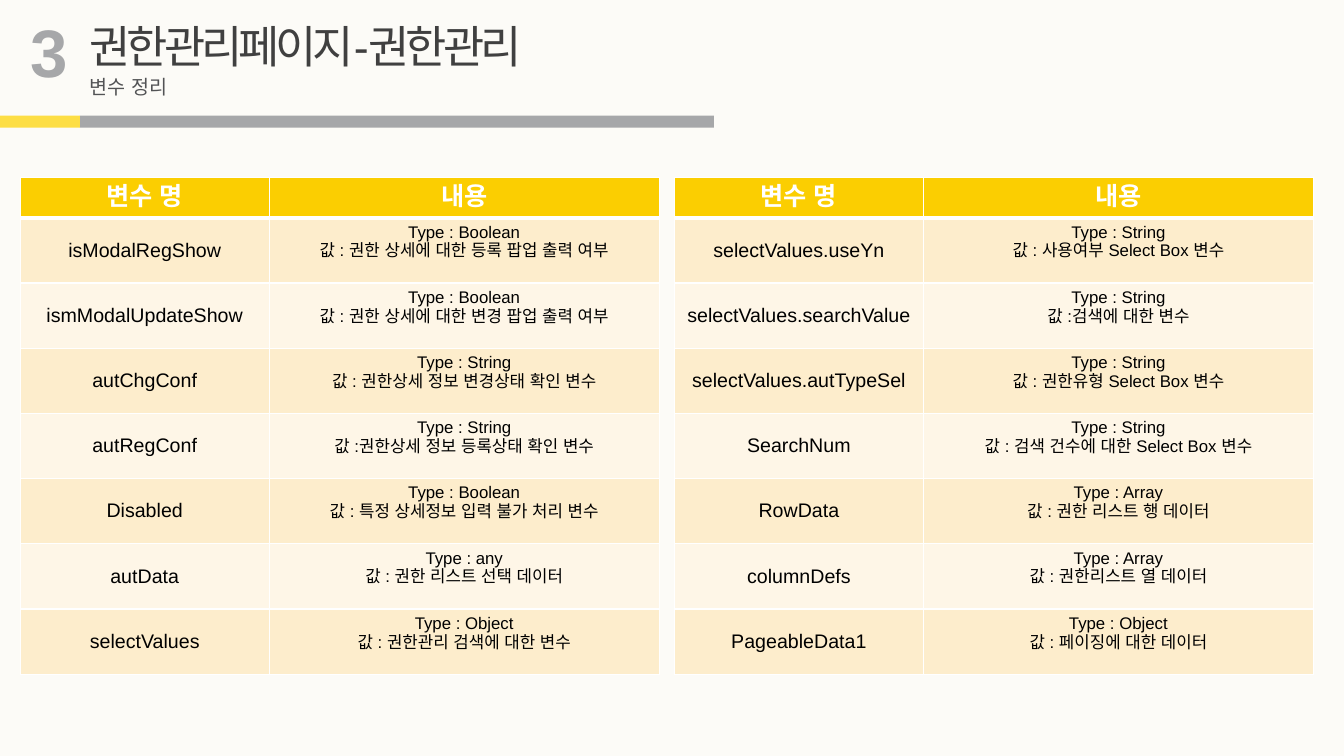
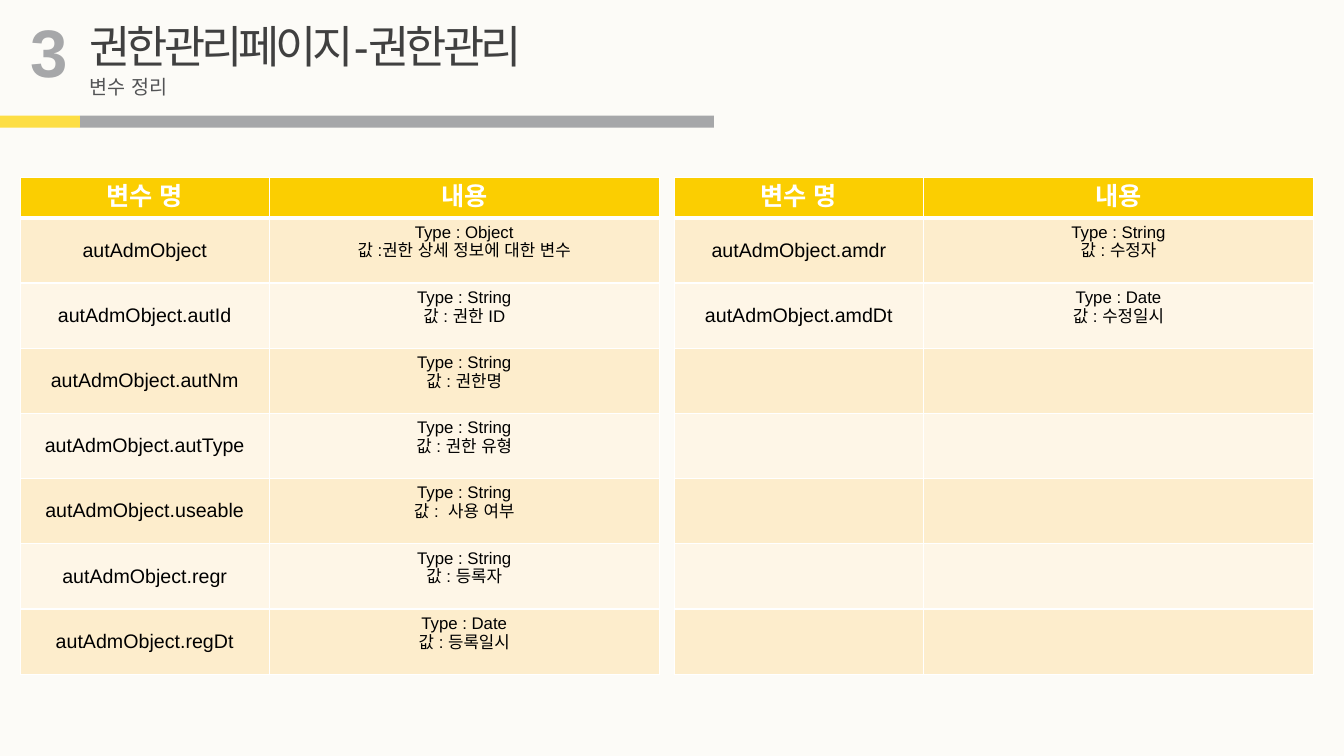
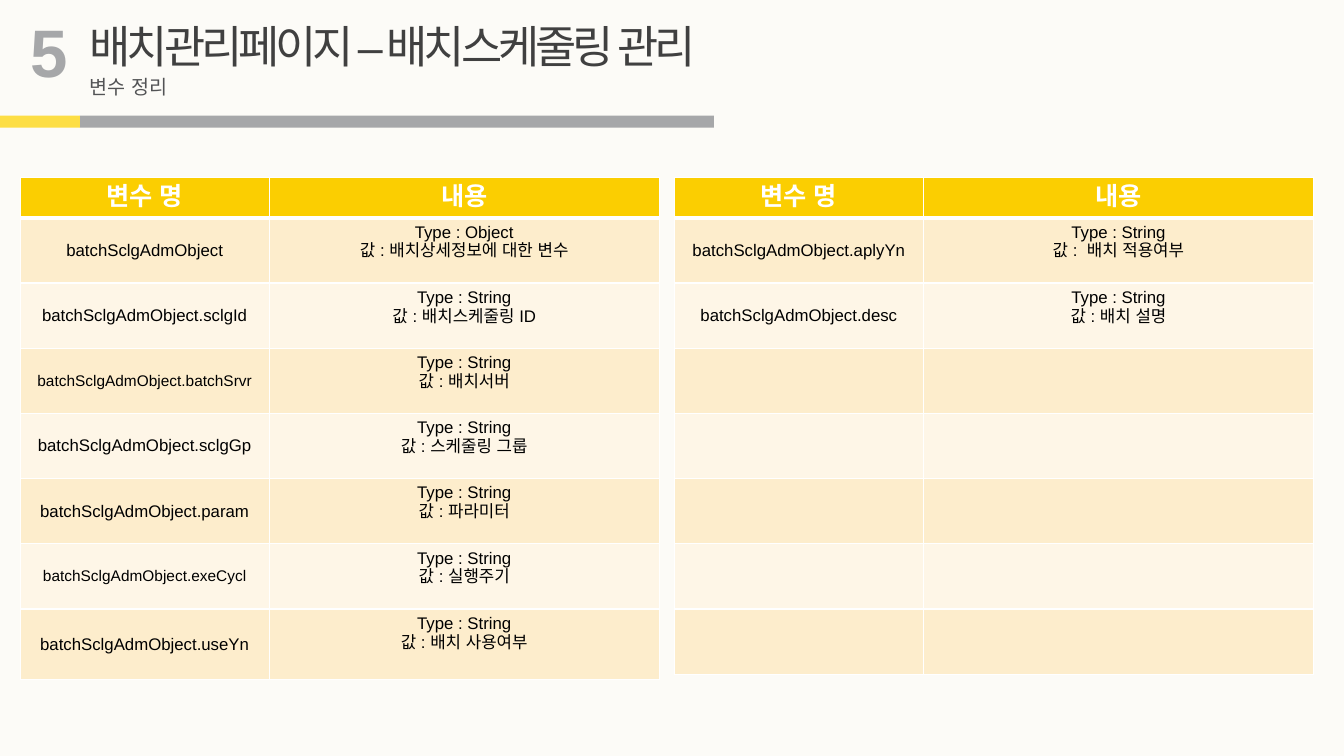
import pptx
import pptx.dml.color
import pptx.enum.shapes
import pptx.enum.text
import pptx.oxml
import pptx.oxml.ns
import pptx.util
from dataclasses import dataclass

Pt = pptx.util.Pt
ALIGN = pptx.enum.text.PP_ALIGN
ANCHOR = pptx.enum.text.MSO_ANCHOR


@dataclass(frozen=True)
class TextStyle:
    size: float
    color: str
    bold: bool = False
    spacing: int = 0


@dataclass(frozen=True)
class Theme:
    font: str = "Arial"
    background: str = "FCFBF7"
    gray: str = "A6A7A9"
    yellow: str = "FDDE45"
    header_fill: str = "FBCE01"
    row_fills: tuple = ("FDEDCC", "FEF6E7")
    border: str = "FFFFFF"
    title: TextStyle = TextStyle(32, "404040", spacing=-300)
    number: TextStyle = TextStyle(48, "A6A7A9", bold=True)
    subtitle: TextStyle = TextStyle(14, "525355")
    header: TextStyle = TextStyle(18, "FFFFFF", bold=True)
    name: TextStyle = TextStyle(14, "000000")
    long_name: TextStyle = TextStyle(12, "000000")
    small_name: TextStyle = TextStyle(11, "000000")
    description: TextStyle = TextStyle(12, "000000")


THEME = Theme()

HEADERS = ("변수 명", "내용")
COLUMN_WIDTHS = (178, 278.5)
TABLE_LEFTS = (14.4, 481.7)
TABLE_TOP = 126.7
HEADER_HEIGHT = 28
ROW_HEIGHT = 46.6
BODY_ROWS = 7


@dataclass(frozen=True)
class Variable:
    name: str
    type_name: str
    value: str
    style: TextStyle = THEME.name


@dataclass(frozen=True)
class Page:
    number: str
    title: str
    title_width: float
    tables: tuple
    left_last_height: float = ROW_HEIGHT


def long_variable(name, type_name, value, style=THEME.long_name):
    return Variable(name, type_name, value, style)


PAGES = (
    Page("3", "권한관리페이지-권한관리", 347, (
        (
            Variable("isModalRegShow", "Boolean", "값 : 권한 상세에 대한 등록 팝업 출력 여부"),
            Variable("ismModalUpdateShow", "Boolean", "값 : 권한 상세에 대한 변경 팝업 출력 여부"),
            Variable("autChgConf", "String", "값 : 권한상세 정보 변경상태 확인 변수"),
            Variable("autRegConf", "String", "값 :권한상세 정보 등록상태 확인 변수"),
            Variable("Disabled", "Boolean", "값 : 특정 상세정보 입력 불가 처리 변수"),
            Variable("autData", "any", "값 : 권한 리스트 선택 데이터"),
            Variable("selectValues", "Object", "값 : 권한관리 검색에 대한 변수"),
        ),
        (
            Variable("selectValues.useYn", "String", "값 : 사용여부 Select Box 변수"),
            Variable("selectValues.searchValue", "String", "값 :검색에 대한 변수"),
            Variable("selectValues.autTypeSel", "String", "값 : 권한유형 Select Box 변수"),
            Variable("SearchNum", "String", "값 : 검색 건수에 대한 Select Box 변수"),
            Variable("RowData", "Array", "값 : 권한 리스트 행 데이터"),
            Variable("columnDefs", "Array", "값 : 권한리스트 열 데이터"),
            Variable("PageableData1", "Object", "값 : 페이징에 대한 데이터"),
        ),
    )),
    Page("3", "권한관리페이지-권한관리", 347, (
        (
            Variable("autAdmObject", "Object", "값 :권한 상세 정보에 대한 변수"),
            Variable("autAdmObject.autId", "String", "값 : 권한 ID"),
            Variable("autAdmObject.autNm", "String", "값 : 권한명"),
            Variable("autAdmObject.autType", "String", "값 : 권한 유형"),
            Variable("autAdmObject.useable", "String", "값 :  사용 여부"),
            Variable("autAdmObject.regr", "String", "값 : 등록자"),
            Variable("autAdmObject.regDt", "Date", "값 : 등록일시"),
        ),
        (
            Variable("autAdmObject.amdr", "String", "값 : 수정자"),
            Variable("autAdmObject.amdDt", "Date", "값 : 수정일시"),
        ),
    )),
    Page("5", "배치관리페이지 – 배치스케줄링 관리", 490, (
        (
            long_variable("batchSclgAdmObject", "Object", "값 : 배치상세정보에 대한 변수"),
            long_variable("batchSclgAdmObject.sclgId", "String", "값 : 배치스케줄링 ID"),
            long_variable("batchSclgAdmObject.batchSrvr", "String", "값 : 배치서버", THEME.small_name),
            long_variable("batchSclgAdmObject.sclgGp", "String", "값 : 스케줄링 그룹"),
            long_variable("batchSclgAdmObject.param", "String", "값 : 파라미터"),
            long_variable("batchSclgAdmObject.exeCycl", "String", "값 : 실행주기", THEME.small_name),
            long_variable("batchSclgAdmObject.useYn", "String", "값 : 배치 사용여부"),
        ),
        (
            long_variable("batchSclgAdmObject.aplyYn", "String", "값 :  배치 적용여부"),
            long_variable("batchSclgAdmObject.desc", "String", "값 : 배치 설명"),
        ),
    ), left_last_height=50.5),
)


def rgb(color):
    return pptx.dml.color.RGBColor.from_string(color)


def set_fill(target, color):
    target.fill.solid()
    target.fill.fore_color.rgb = rgb(color)


def write_text(text_frame, text, style, alignment=ALIGN.LEFT):
    text_frame.text = text
    for paragraph in text_frame.paragraphs:
        paragraph.alignment = alignment
        for run in paragraph.runs:
            run.font.size = Pt(style.size)
            run.font.bold = style.bold
            run.font.color.rgb = rgb(style.color)
            run.font.name = THEME.font
            properties = run._r.get_or_add_rPr()
            east_asian = pptx.oxml.parse_xml(
                f'<a:ea {pptx.oxml.ns.nsdecls("a")} typeface="{THEME.font}"/>')
            properties.append(east_asian)
            if style.spacing:
                properties.set("spc", str(style.spacing))


def write_label(shape, text, style):
    """Write one unwrapped line at the top left of the shape."""
    text_frame = shape.text_frame
    write_text(text_frame, text, style)
    text_frame.word_wrap = False
    text_frame.auto_size = pptx.enum.text.MSO_AUTO_SIZE.SHAPE_TO_FIT_TEXT
    text_frame.vertical_anchor = ANCHOR.TOP


def add_label(slide, text, style, *box):
    shape = slide.shapes.add_textbox(*map(Pt, box))
    write_label(shape, text, style)


def add_band(slide, left, width, color):
    band = slide.shapes.add_shape(
        pptx.enum.shapes.MSO_SHAPE.RECTANGLE, Pt(left), Pt(82.6), Pt(width), Pt(8.6))
    band.shadow.inherit = False
    set_fill(band, color)
    band.line.fill.background()


def add_heading(slide, page):
    add_band(slide, 57, 453, THEME.gray)
    add_band(slide, 0, 57, THEME.yellow)
    title = slide.shapes.title
    title.left, title.top = Pt(57), Pt(9.4)
    title.width, title.height = Pt(page.title_width), Pt(46)
    write_label(title, page.title, THEME.title)
    add_label(slide, page.number, THEME.number, 14.4, 3.6, 42.4, 65.5)
    add_label(slide, "변수 정리", THEME.subtitle, 57, 49.7, 76.3, 24.3)


def set_borders(cell, top, bottom):
    properties = cell._tc.get_or_add_tcPr()
    for side, width in (("L", 1), ("R", 1), ("T", top), ("B", bottom)):
        properties.append(pptx.oxml.parse_xml(
            f'<a:ln{side} {pptx.oxml.ns.nsdecls("a")} w="{Pt(width)}"><a:solidFill>'
            f'<a:srgbClr val="{THEME.border}"/></a:solidFill></a:ln{side}>'))


def style_row(table, row_index, fill):
    top = 3 if row_index == 1 else 1
    bottom = 3 if row_index == 0 else 1
    for cell in table.rows[row_index].cells:
        set_borders(cell, top, bottom)
        set_fill(cell, fill)


def add_variable_table(slide, left, variables, last_height):
    heights = [HEADER_HEIGHT] + [ROW_HEIGHT] * (BODY_ROWS - 1) + [last_height]
    table = slide.shapes.add_table(
        len(heights), len(HEADERS), Pt(left), Pt(TABLE_TOP),
        Pt(sum(COLUMN_WIDTHS)), Pt(sum(heights))).table
    table.horz_banding = False
    for column, width in zip(table.columns, COLUMN_WIDTHS):
        column.width = Pt(width)
    for index, height in enumerate(heights):
        table.rows[index].height = Pt(height)
        fill = THEME.row_fills[(index - 1) % 2] if index else THEME.header_fill
        style_row(table, index, fill)
    for cell, header in zip(table.rows[0].cells, HEADERS):
        write_text(cell.text_frame, header, THEME.header, ALIGN.CENTER)
    for index, variable in enumerate(variables, start=1):
        name_cell, description_cell = table.rows[index].cells
        name_cell.vertical_anchor = ANCHOR.MIDDLE
        write_text(name_cell.text_frame, variable.name, variable.style, ALIGN.CENTER)
        write_text(description_cell.text_frame,
                   f"Type : {variable.type_name}\n{variable.value}",
                   THEME.description, ALIGN.CENTER)


def main():
    presentation = pptx.Presentation()
    presentation.slide_width, presentation.slide_height = Pt(960), Pt(540)
    set_fill(presentation.slide_master.background, THEME.background)
    title_only = presentation.slide_layouts.get_by_name("Title Only")
    for page in PAGES:
        slide = presentation.slides.add_slide(title_only)
        add_heading(slide, page)
        last_heights = (page.left_last_height, ROW_HEIGHT)
        for left, variables, last_height in zip(TABLE_LEFTS, page.tables, last_heights):
            add_variable_table(slide, left, variables, last_height)
    presentation.save("out.pptx")


if __name__ == "__main__":
    main()
